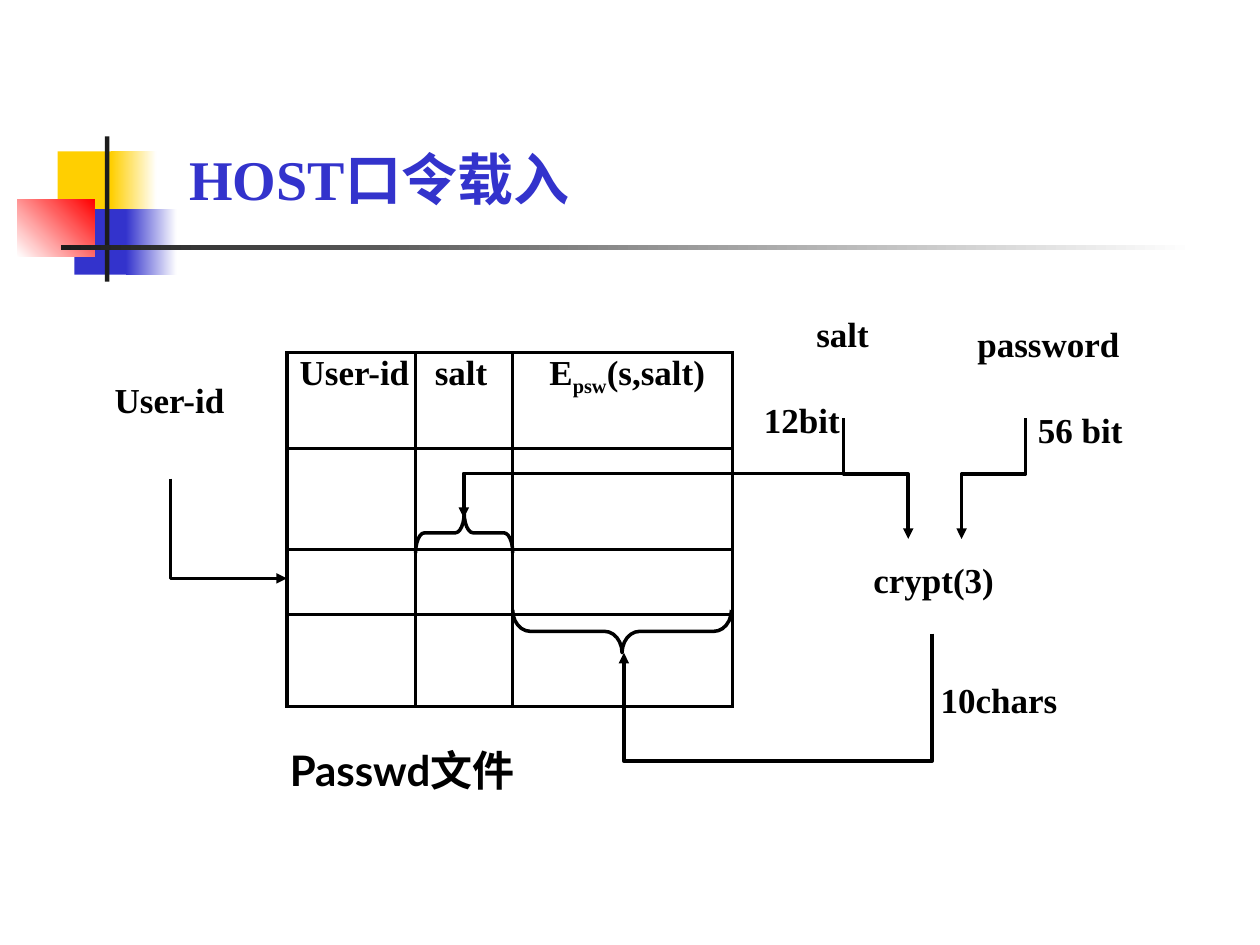
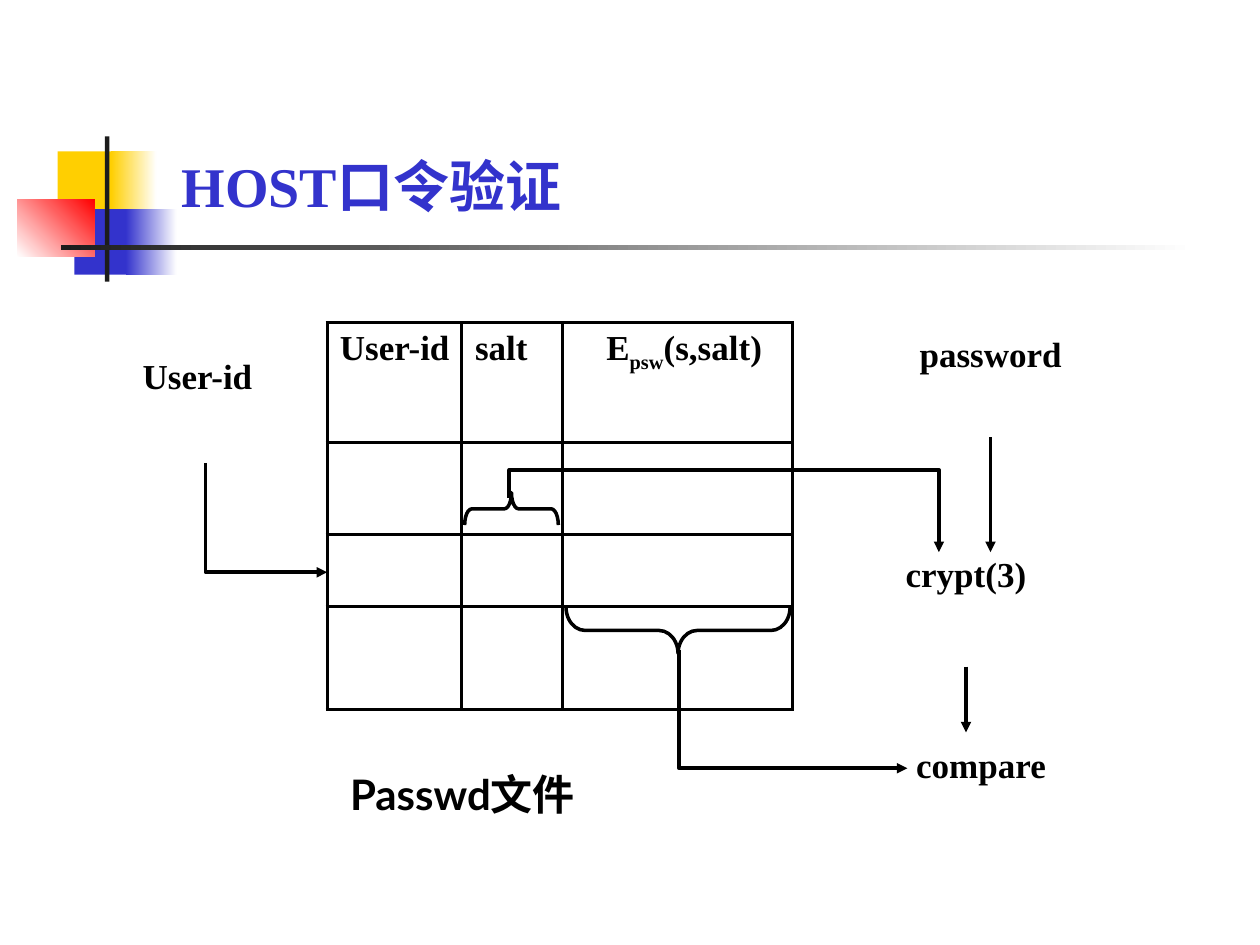
from lxml import etree
from pptx import Presentation
from pptx.dml.color import RGBColor
from pptx.enum.shapes import MSO_CONNECTOR, MSO_SHAPE
from pptx.enum.text import MSO_ANCHOR, PP_ALIGN
from pptx.oxml.ns import qn
from pptx.util import Pt

RECTANGLE, BRACE = MSO_SHAPE.RECTANGLE, MSO_SHAPE.LEFT_BRACE
STRAIGHT = MSO_CONNECTOR.STRAIGHT
MIDDLE, TOP, LEFT = MSO_ANCHOR.MIDDLE, MSO_ANCHOR.TOP, PP_ALIGN.LEFT

BLACK, WHITE, CHARCOAL = "000000", "FFFFFF", "1C1C1C"
YELLOW, BLUE, RED = "FFCF01", "3333CC", "FF0000"
SERIF, SANS, CHINESE = "Times New Roman", "Lato", "Noto Sans CJK SC"
LINE_WIDTH = 2
WIDE_CURL, SMALL_CURL = 0.41, 0.22
HEADINGS = (
    [("User-id", 0)],
    [("salt", 0)],
    [("E", 0), ("psw", -25), ("(s,salt)", 0)],
)


def color(code):
    return RGBColor.from_string(code)


def points(*lengths):
    return [Pt(length) for length in lengths]


def write(para, text, size=20, font=SERIF, ink=BLACK, baseline=0):
    """Add a bold span; baseline is a percentage, negative for subscript."""
    span = para.add_run()
    span.text = text
    span.font.size, span.font.name, span.font.bold = Pt(size), font, True
    span.font.color.rgb = color(ink)
    properties = span.font._element
    etree.SubElement(properties, qn("a:ea"), typeface=CHINESE)
    if baseline:
        properties.set("baseline", str(baseline * 1000))


def set_margins(frame, left, top, right, bottom):
    frame.margin_left, frame.margin_top = points(left, top)
    frame.margin_right, frame.margin_bottom = points(right, bottom)


class Sketch:
    """Holds the deck, its shared layout and the slide being drawn."""

    def __init__(self):
        self.deck = Presentation()
        self.deck.slide_width, self.deck.slide_height = points(720, 540)
        self.layout = self.deck.slide_layouts[5]
        self.slide = None

    def start(self, title, left, top, width, height):
        self.slide = self.deck.slides.add_slide(self.layout)
        box = self.slide.shapes.title
        box.left, box.top, box.width, box.height = points(left, top, width, height)
        frame = box.text_frame
        frame.word_wrap, frame.vertical_anchor = True, MIDDLE
        set_margins(frame, 7.2, 3.6, 7.2, 3.6)
        para = frame.paragraphs[0]
        para.alignment = LEFT
        write(para, title, size=32, ink=BLUE)

    def decorate_layout(self):
        """Draw the corner squares and rule, then move them to the layout."""
        self.band(33, 86.5, 34.5, 37.5, YELLOW)
        self.band(63.5, 86.5, 26, 37.5, YELLOW, WHITE)
        self.band(42.5, 119.5, 33, 37.5, BLUE)
        self.band(72, 119.5, 29, 37.5, BLUE, WHITE)
        self.band(10, 113.75, 44, 33, WHITE, RED, angle=45)
        self.band(60, 78, 2.5, 83, CHARCOAL)
        self.band(35, 140, 648, 2.75, CHARCOAL, WHITE)

    def band(self, left, top, width, height, start, end=None, angle=0):
        shape = self.slide.shapes.add_shape(RECTANGLE, *points(left, top, width, height))
        shape.shadow.inherit = False
        shape.line.fill.background()
        if end:
            shape.fill.gradient()
            shape.fill.gradient_angle = angle
            for stop, position, code in zip(shape.fill.gradient_stops, (0, 1), (start, end)):
                stop.position, stop.color.rgb = position, color(code)
        else:
            shape.fill.solid()
            shape.fill.fore_color.rgb = color(start)
        self.layout.shapes.element.append(shape.element)

    def label(self, text, left, top, width, height=46, margins=(0, 0, 0, 0), **style):
        box = self.slide.shapes.add_textbox(*points(left, top, width, height))
        frame = box.text_frame
        frame.word_wrap = True
        set_margins(frame, *margins)
        write(frame.paragraphs[0], text, **style)

    def caption(self, text, left, top):
        self.label(text, left, top, 208, 36, (7.2, 3.6, 7.2, 3.6), size=24, font=SANS)

    def password_table(self, left, top, widths, heights, indents, inset):
        """Draw the password file; indents place the headings in their columns."""
        frame = self.slide.shapes.add_table(
            len(heights), len(widths), *points(left, top, sum(widths), sum(heights)))
        table = frame.table
        table.first_row = table.horz_banding = False
        for column, width in zip(table.columns, widths):
            column.width = Pt(width)
        for row, height in zip(table.rows, heights):
            row.height = Pt(height)
        for cell in table.iter_cells():
            cell.fill.background()
            self.border(cell)
        for cell, heading, indent in zip(table.rows[0].cells, HEADINGS, indents):
            cell.vertical_anchor = TOP
            set_margins(cell, indent, inset, 0, inset)
            for text, baseline in heading:
                write(cell.text_frame.paragraphs[0], text, baseline=baseline)

    def border(self, cell):
        properties = cell._tc.get_or_add_tcPr()
        for index, side in enumerate(("lnL", "lnR", "lnT", "lnB")):
            line = etree.Element(qn(f"a:{side}"), w=str(Pt(LINE_WIDTH)))
            fill = etree.SubElement(line, qn("a:solidFill"))
            etree.SubElement(fill, qn("a:srgbClr"), val=BLACK)
            properties.insert(index, line)

    def outline(self, shape, arrow=False):
        shape.line.color.rgb = color(BLACK)
        shape.line.width = Pt(LINE_WIDTH)
        if arrow:
            line = shape.element.spPr.find(qn("a:ln"))
            etree.SubElement(line, qn("a:tailEnd"), type="triangle")

    def arrow(self, x1, y1, x2, y2):
        connector = self.slide.shapes.add_connector(STRAIGHT, *points(x1, y1, x2, y2))
        self.outline(connector, arrow=True)
        etree.SubElement(connector.element.spPr, qn("a:effectLst"))

    def bent_arrow(self, start, *corners):
        builder = self.slide.shapes.build_freeform(*points(*start), scale=1.0)
        builder.add_line_segments([points(*corner) for corner in corners], close=False)
        shape = builder.convert_to_shape()
        shape.shadow.inherit = False
        shape.fill.background()
        self.outline(shape, arrow=True)

    def brace(self, left, top, width, height, curl, rotation):
        """Fit a brace to the given box; rotation 90 points up, 270 down."""
        shape = self.slide.shapes.add_shape(BRACE, *points(
            left + (width - height) / 2, top + (height - width) / 2, height, width))
        shape.rotation = rotation
        shape.adjustments[0] = curl
        shape.shadow.inherit = False
        shape.fill.background()
        self.outline(shape)


def draw_loading(sketch):
    sketch.start("HOST口令载入", 101, 73.5, 292, 57)
    sketch.decorate_layout()
    sketch.password_table(164, 201.5, (73.5, 55.5, 125.5), (55, 57.5, 37, 53),
                          (7.2, 11, 21), 0.72)
    sketch.brace(293, 348.5, 125, 24.5, WIDE_CURL, 270)
    sketch.brace(237.5, 293, 55.5, 23, SMALL_CURL, 90)
    sketch.label("User-id", 65.5, 216, 68)
    sketch.label("salt", 466.5, 178.5, 36)
    sketch.label("password", 558.5, 184.5, 86)
    sketch.label("12bit", 436.5, 227.5, 49)
    sketch.label("56 bit", 593, 233.5, 59)
    sketch.label("crypt(3)", 499, 319, 76)
    sketch.label("10chars", 537.5, 387.5, 80)
    sketch.bent_arrow((482, 239), (482, 271), (519, 271), (519, 308))
    sketch.bent_arrow((586, 239), (586, 271), (549.5, 271), (549.5, 308))
    sketch.bent_arrow((482, 270.5), (265, 270.5), (265, 296))
    sketch.bent_arrow((532.5, 362), (532.5, 435), (356.5, 435), (356.5, 373))
    sketch.bent_arrow((97.5, 273.5), (97.5, 330.5), (164, 330.5))
    sketch.caption("Passwd文件", 158.5, 422)


def draw_verification(sketch):
    sketch.start("HOST口令验证", 96.5, 73, 355, 65)
    sketch.password_table(187, 184.5, (76.5, 58, 131.5), (68.5, 52.5, 41, 59),
                          (7.2, 8, 25), 3.6)
    sketch.brace(323.5, 347, 128, 26.5, WIDE_CURL, 270)
    sketch.brace(265.5, 281.5, 53.5, 18.5, SMALL_CURL, 90)
    sketch.label("User-id", 81.5, 202.5, 73)
    sketch.label("password", 525.5, 190, 86)
    sketch.label("crypt(3)", 517.5, 315.5, 76)
    sketch.label("compare", 523.5, 425, 80)
    sketch.bent_arrow((291, 284.5), (291, 268.5), (536.5, 268.5), (536.5, 315.5))
    sketch.arrow(566, 250, 566, 315.5)
    sketch.arrow(552, 381, 552, 418.5)
    sketch.bent_arrow((388, 371.5), (388, 439), (518.5, 439))
    sketch.bent_arrow((117.5, 264.5), (117.5, 327), (187, 327))
    sketch.caption("Passwd文件", 193, 435.5)


def main():
    sketch = Sketch()
    draw_loading(sketch)
    draw_verification(sketch)
    sketch.deck.save("out.pptx")


if __name__ == "__main__":
    main()
